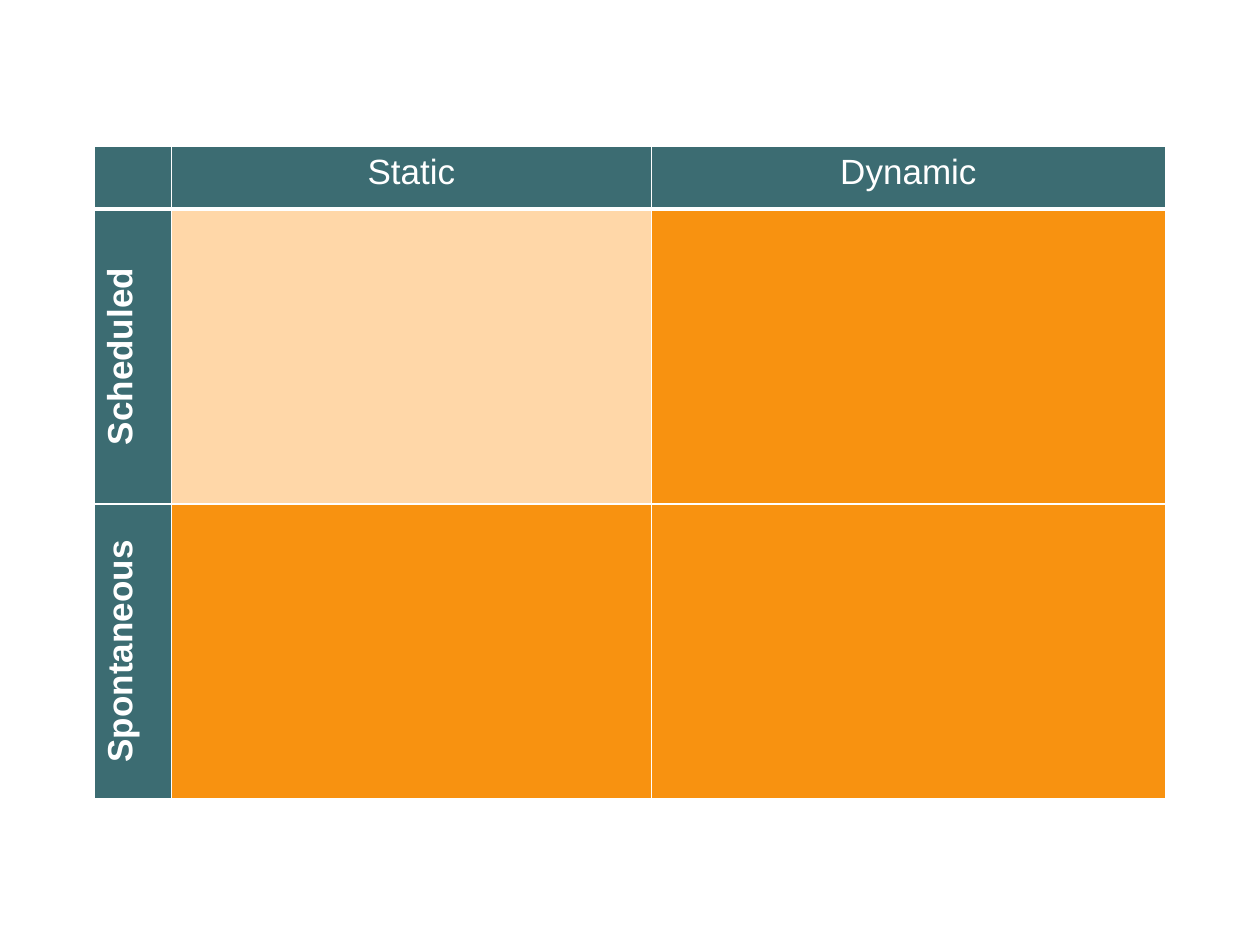
from lxml import etree
from pptx import Presentation
from pptx.dml.color import RGBColor
from pptx.enum.text import PP_ALIGN
from pptx.oxml.ns import qn
from pptx.util import Inches, Pt

CENTER = PP_ALIGN.CENTER

COLORS = {"teal": "3C6C72", "pale": "FFD7A8", "orange": "F89210", "white": "FFFFFF"}
COL_WIDTHS = [0.61, 3.81, 4.08]
ROW_HEIGHTS = [0.5, 2.34, 2.34]
LEFT, TOP = 0.75, 1.16
MATRIX = [
    [("", "teal"), ("Static", "teal"), ("Dynamic", "teal")],
    [("Scheduled", "teal"), ("", "pale"), ("", "orange")],
    [("Spontaneous", "teal"), ("", "orange"), ("", "orange")],
]
FONT = {"name": "Arial", "size": Pt(20)}


def add_borders(cell, widths):
    tc_pr = cell._tc.get_or_add_tcPr()
    for side, width in widths.items():
        line = etree.SubElement(tc_pr, qn(f"a:ln{side}"), w=str(Pt(width)))
        fill = etree.SubElement(line, qn("a:solidFill"))
        etree.SubElement(fill, qn("a:srgbClr"), val=COLORS["white"])


def format_cell(cell, text, color, is_header, is_label):
    add_borders(cell, {"L": 1, "R": 1, "T": 1, "B": 3 if is_header else 1})
    cell.fill.solid()
    cell.fill.fore_color.rgb = RGBColor.from_string(COLORS[color])
    if not text:
        return
    if is_label:
        cell._tc.get_or_add_tcPr().set("vert", "vert270")
    p = cell.text_frame.paragraphs[0]
    p.alignment = CENTER
    r = p.add_run()
    r.text = text
    for name, value in {**FONT, "bold": is_label}.items():
        setattr(r.font, name, value)
    r.font.color.rgb = RGBColor.from_string(COLORS["white"])


def main():
    prs = Presentation()
    prs.slide_width, prs.slide_height = Inches(10), Inches(7.5)
    s = prs.slides.add_slide(prs.slide_layouts[6])
    table = s.shapes.add_table(
        len(ROW_HEIGHTS), len(COL_WIDTHS), Inches(LEFT), Inches(TOP),
        Inches(sum(COL_WIDTHS)), Inches(sum(ROW_HEIGHTS))).table
    for column, width in zip(table.columns, COL_WIDTHS):
        column.width = Inches(width)
    for row, height in zip(table.rows, ROW_HEIGHTS):
        row.height = Inches(height)
    for i, row in enumerate(MATRIX):
        for j, (text, color) in enumerate(row):
            format_cell(table.cell(i, j), text, color, i == 0, j == 0)
    prs.save("out.pptx")


if __name__ == "__main__":
    main()
